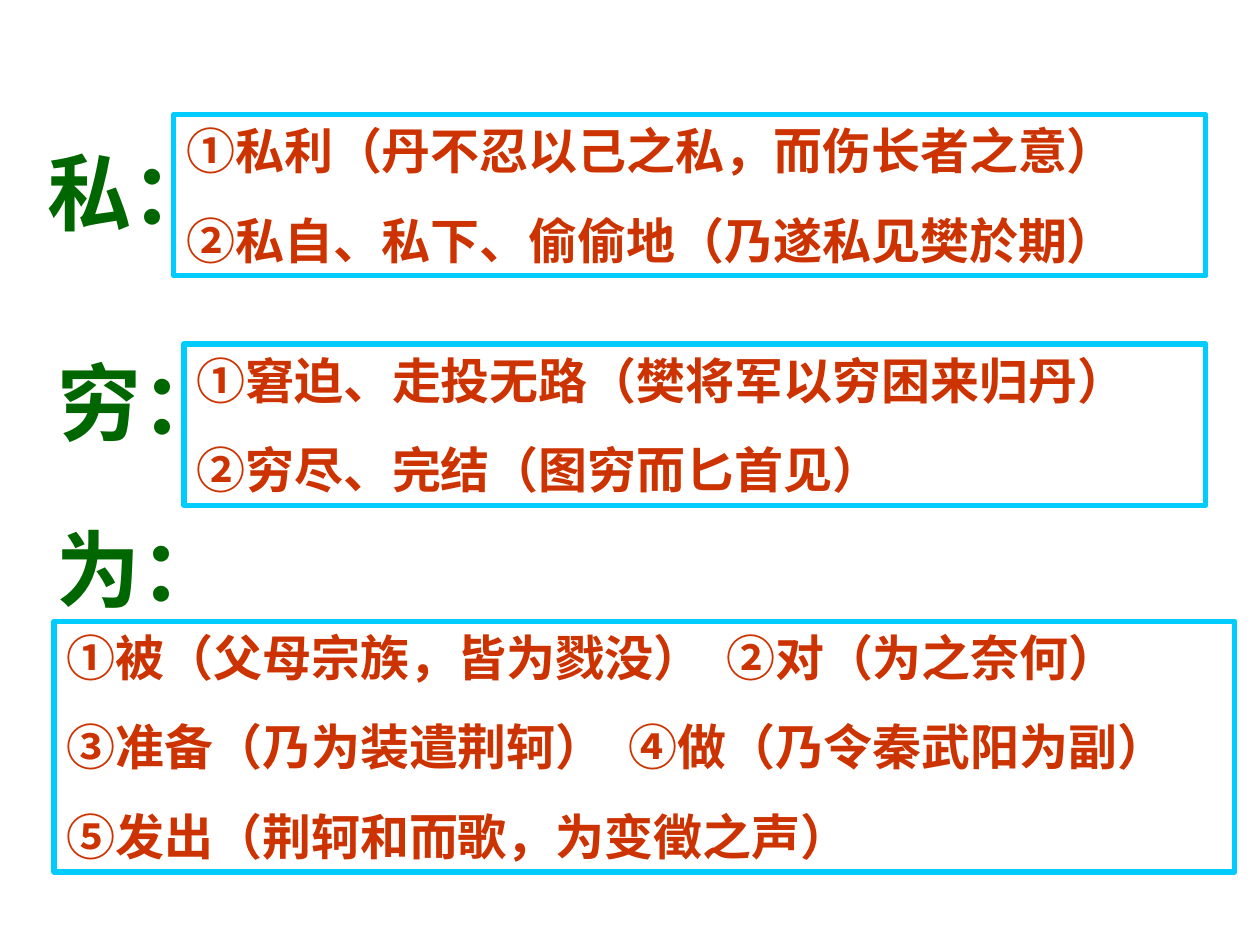
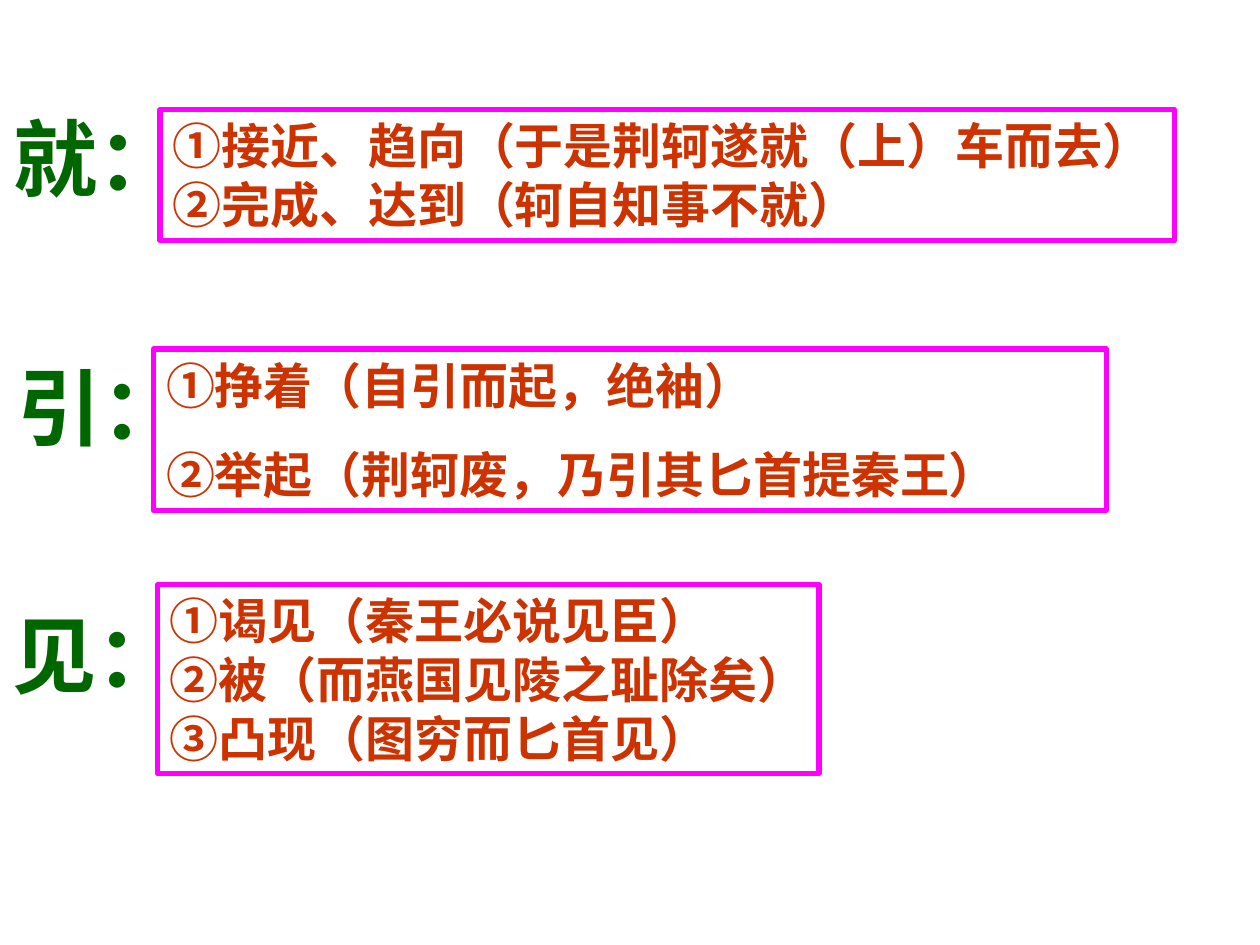
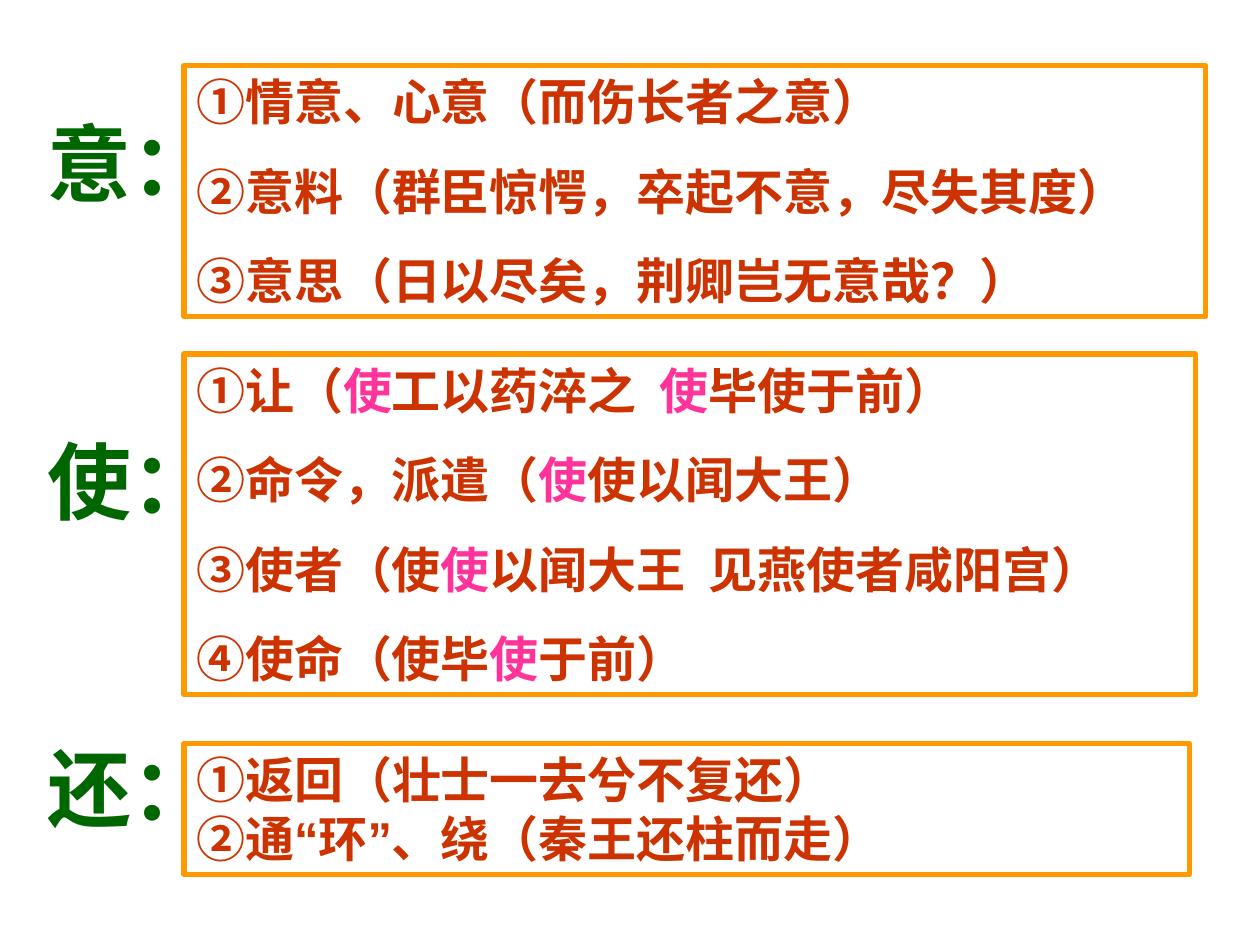
from lxml.etree import SubElement
from pptx import Presentation
from pptx.dml.color import RGBColor
from pptx.enum.lang import MSO_LANGUAGE_ID as Language
from pptx.enum.shapes import MSO_SHAPE as Shape
from pptx.enum.text import MSO_ANCHOR as Anchor, PP_ALIGN as Align
from pptx.oxml.ns import qn
from pptx.util import Inches, Pt

GREEN = RGBColor(0x00, 0x66, 0x00)
RED = RGBColor(0xCC, 0x33, 0x00)
PINK = RGBColor(0xFF, 0x33, 0x99)
CYAN = RGBColor(0x00, 0xCC, 0xFF)
MAGENTA = RGBColor(0xFF, 0x00, 0xFF)
ORANGE = RGBColor(0xFF, 0x99, 0x00)

FONT = "Arial"
LABEL_SIZE = 48
SENSE_SIZE = 28
LABEL_HEIGHT = 0.9
WIDE_GAP = 17.5
EXAMPLE_GAP = 0.18
FRAME_FORMAT = {
    "word_wrap": True,
    "vertical_anchor": Anchor.TOP,
    "margin_left": Inches(0.1),
    "margin_right": Inches(0.05),
    "margin_top": Inches(0.05),
    "margin_bottom": Inches(0.05),
}

SLIDES = [
    (CYAN, [
        ("私：", (0.28, 1.07, 1.53), (1.38, 0.91, 8.19, 1.28), WIDE_GAP, [
            "①私利（丹不忍以己之私，而伤长者之意）",
            "②私自、私下、偷偷地（乃遂私见樊於期）",
        ]),
        ("穷：", (0.36, 2.73, 1.53), (1.46, 2.73, 8.11, 1.28), WIDE_GAP, [
            "①窘迫、走投无路（樊将军以穷困来归丹）",
            "②穷尽、完结（图穷而匕首见）",
        ]),
        ("为：", (0.35, 4.06, 1.89), (0.43, 4.93, 9.37, 1.99), WIDE_GAP, [
            "①被（父母宗族，皆为戮没）\t②对（为之奈何）",
            "③准备（乃为装遣荆轲）\t④做（乃令秦武阳为副）",
            "⑤发出（荆轲和而歌，为变徵之声）",
        ]),
    ]),
    (MAGENTA, [
        ("就：", (0.01, 0.8, 1.53), (1.27, 0.87, 8.05, 1.04), 0, [
            "①接近、趋向（于是荆轲遂就（上）车而去）",
            "②完成、达到（轲自知事不就）",
        ]),
        ("引：", (0.04, 2.77, 1.53), (1.22, 2.77, 7.56, 1.28), WIDE_GAP, [
            "①挣着（自引而起，绝袖）",
            "②举起（荆轲废，乃引其匕首提秦王）",
        ]),
        ("见：", (0, 4.74, 1.54), (1.25, 4.64, 5.25, 1.5), 0, [
            "①谒见（秦王必说见臣）",
            "②被（而燕国见陵之耻除矣）",
            "③凸现（图穷而匕首见）",
        ]),
    ]),
    (ORANGE, [
        ("意：", (0.28, 0.84, 1.53), (1.46, 0.52, 8.11, 1.99), WIDE_GAP, [
            "①情意、心意（而伤长者之意）",
            "②意料（群臣惊愕，卒起不意，尽失其度）",
            "③意思（日以尽矣，荆卿岂无意哉？）",
        ]),
        ("使：", (0.28, 3.36, 1.53), (1.46, 2.81, 8.03, 2.7), WIDE_GAP, [
            "①让（*使*工以药淬之\t*使*毕使于前）",
            "②命令，派遣（*使*使以闻大王）",
            "③使者（使*使*以闻大王\t见燕使者咸阳宫）",
            "④使命（使毕*使*于前）",
        ]),
        ("还：", (0.28, 5.8, 1.53), (1.46, 5.9, 7.98, 1.04), 0, [
            "①返回（壮士一去兮不复还）",
            "②通“环”、绕（秦王还柱而走）",
        ]),
    ]),
]


def add_run(paragraph, text, size, color):
    run = paragraph.add_run()
    run.text = text
    font_format = {
        "name": FONT,
        "size": Pt(size),
        "bold": True,
        "language_id": Language.SIMPLIFIED_CHINESE,
    }
    for name, value in font_format.items():
        setattr(run.font, name, value)
    run.font.color.rgb = color
    latin = run.font._element.find(qn("a:latin"))
    east_asian = SubElement(run.font._element, qn("a:ea"), typeface=FONT)
    latin.addnext(east_asian)


def add_tab_stop(paragraph, line):
    lead = line.replace("*", "").split("\t")[0]
    stop = Inches(len(lead) * SENSE_SIZE / 72 + EXAMPLE_GAP)
    tabs = SubElement(paragraph._p.get_or_add_pPr(), qn("a:tabLst"))
    SubElement(tabs, qn("a:tab"), pos=str(stop), algn="l")


presentation = Presentation()
presentation.slide_width = Inches(10)
presentation.slide_height = Inches(7.5)

for border_color, words in SLIDES:
    slide = presentation.slides.add_slide(presentation.slide_layouts[6])

    for word, label_place, box_place, gap, lines in words:
        box = slide.shapes.add_shape(Shape.RECTANGLE, *map(Inches, box_place))
        box.shadow.inherit = False
        box.fill.background()
        box.line.color.rgb = border_color
        box.line.width = Pt(3)
        for name, value in FRAME_FORMAT.items():
            setattr(box.text_frame, name, value)

        for index, line in enumerate(lines):
            paragraph = box.text_frame.paragraphs[0]
            if index:
                paragraph = box.text_frame.add_paragraph()
                paragraph.space_before = Pt(gap)
            paragraph.alignment = Align.LEFT
            if "\t" in line:
                add_tab_stop(paragraph, line)
            for part, text in enumerate(line.split("*")):
                add_run(paragraph, text, SENSE_SIZE, PINK if part % 2 else RED)

    for word, label_place, box_place, gap, lines in words:
        label = slide.shapes.add_textbox(*map(Inches, (*label_place, LABEL_HEIGHT)))
        for name, value in FRAME_FORMAT.items():
            setattr(label.text_frame, name, value)
        add_run(label.text_frame.paragraphs[0], word, LABEL_SIZE, GREEN)

presentation.save("out.pptx")
